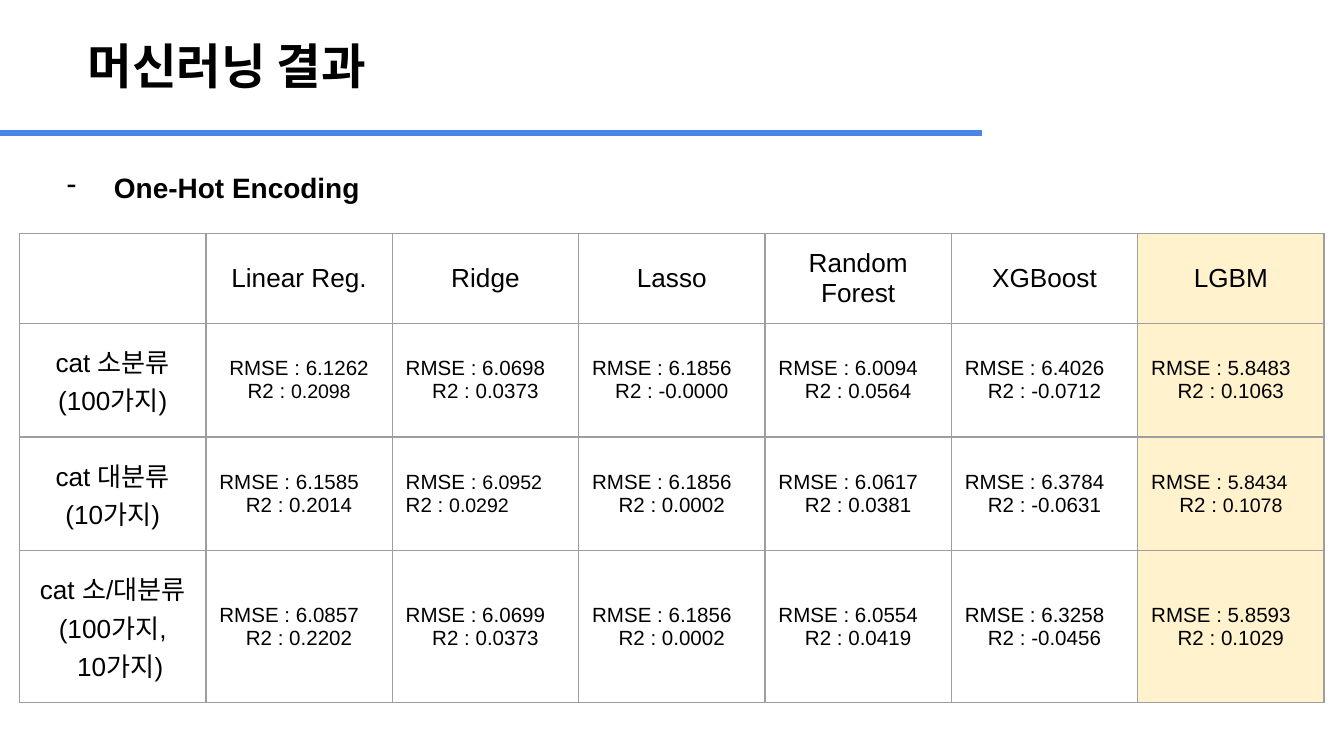
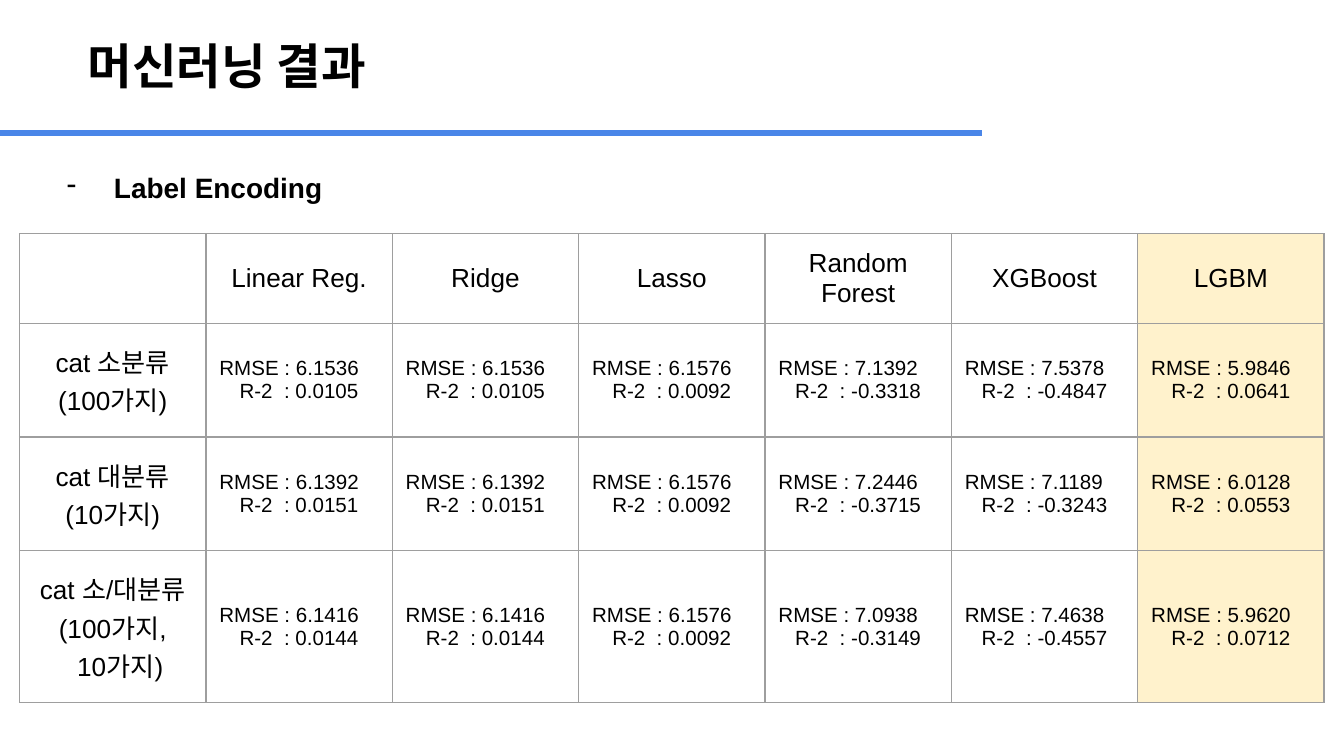
"""Build two slides of machine learning results, one per category encoding."""
from dataclasses import dataclass

from lxml import etree
from pptx import Presentation
from pptx import util as u
from pptx.dml.color import RGBColor
from pptx.enum import shapes, text
from pptx.oxml import ns

TITLE = "머신러닝 결과"
MODELS = ["Linear Reg.", "Ridge", "Lasso", "Random Forest", "XGBoost", "LGBM"]
CATEGORIES = [
    ("cat 소분류", "(100가지)"),
    ("cat 대분류", "(10가지)"),
    ("cat 소/대분류", "(100가지,", "10가지)"),
]


@dataclass(frozen=True)
class Score:
    """One model's error and fit, with the way its cell is set."""
    rmse: str
    r2: str
    small: str = ""
    layout: str = "split"


RESULTS = [
    ("One-Hot Encoding", "R2 : ", [
        [("6.1262", "0.2098", "r2", "joined"), ("6.0698", "0.0373"), ("6.1856", "-0.0000"),
         ("6.0094", "0.0564"), ("6.4026", "-0.0712"), ("5.8483", "0.1063")],
        [("6.1585", "0.2014"), ("6.0952", "0.0292", "rmse r2", "left"), ("6.1856", "0.0002"),
         ("6.0617", "0.0381"), ("6.3784", "-0.0631"), ("5.8434", "0.1078", "rmse r2")],
        [("6.0857", "0.2202"), ("6.0699", "0.0373"), ("6.1856", "0.0002"),
         ("6.0554", "0.0419"), ("6.3258", "-0.0456"), ("5.8593", "0.1029")],
    ]),
    ("Label Encoding", "R-2  : ", [
        [("6.1536", "0.0105"), ("6.1536", "0.0105"), ("6.1576", "0.0092"),
         ("7.1392", "-0.3318"), ("7.5378", "-0.4847"), ("5.9846", "0.0641")],
        [("6.1392", "0.0151"), ("6.1392", "0.0151"), ("6.1576", "0.0092"),
         ("7.2446", "-0.3715"), ("7.1189", "-0.3243"), ("6.0128", "0.0553")],
        [("6.1416", "0.0144"), ("6.1416", "0.0144"), ("6.1576", "0.0092"),
         ("7.0938", "-0.3149"), ("7.4638", "-0.4557"), ("5.9620", "0.0712")],
    ]),
]


@dataclass(frozen=True)
class Theme:
    """Colours, type sizes and insets shared by the slides."""
    font: str = "Arial"
    ink: str = "000000"
    rule: str = "4A86E8"
    grid: str = "9E9E9E"
    best: str = "FFF2CC"
    title: float = 26
    heading: float = 15
    label: float = 14
    score: float = 11
    small: float = 10.5
    inset: float = 7.2
    continuation: float = 8


THEME = Theme()
LEFT, CENTER = text.PP_ALIGN.LEFT, text.PP_ALIGN.CENTER
SLIDE_SIZE = (720, 405)
TITLE_BOX = (39.6, 12.2, 244, 46)
HEADING_BOX = (18, 84.2, 489.6, 32.4)
RULE_Y, RULE_END = 71.3, 526.3
TABLE_LEFT, TABLE_TOP, COLUMN_WIDTH = 10.5, 125.2, 99.84
ROW_HEIGHTS = (47.6, 60.9, 60.7, 57.6)


def points(values):
    """Turn numbers into lengths in points."""
    return [u.Pt(value) for value in values]


def set_insets(target):
    """Give a text frame or a cell the common margin on all sides."""
    for side in ("left", "top", "right", "bottom"):
        setattr(target, f"margin_{side}", u.Pt(THEME.inset))


def add_paragraph(frame, size, *pieces, align=LEFT, bold=False):
    """Write text, or (text, size) pieces, into the next paragraph of a frame."""
    paragraph = frame.add_paragraph() if frame.text else frame.paragraphs[0]
    paragraph.alignment = align
    font = paragraph.font
    font.name, font.size, font.bold = THEME.font, u.Pt(size), bold
    font.color.rgb = RGBColor.from_string(THEME.ink)
    for piece in pieces:
        words, piece_size = (piece, size) if isinstance(piece, str) else piece
        run = paragraph.add_run()
        run.text = words
        if piece_size != size:
            run.font.size = u.Pt(piece_size)
    return paragraph


def set_indent(paragraph, margin, indent=0):
    """Set the left margin and first-line indent of a paragraph."""
    properties = paragraph._p.get_or_add_pPr()
    properties.set("marL", str(u.Pt(margin)))
    properties.set("indent", str(u.Pt(indent)))
    return properties


def add_title(slide):
    """Place the slide title."""
    title = slide.shapes.title
    title.left, title.top, title.width, title.height = points(TITLE_BOX)
    frame = title.text_frame
    frame.word_wrap, frame.auto_size = True, text.MSO_AUTO_SIZE.SHAPE_TO_FIT_TEXT
    frame.vertical_anchor = text.MSO_ANCHOR.TOP
    set_insets(frame)
    add_paragraph(frame, THEME.title, TITLE, bold=True)


def add_rule(slide):
    """Draw the line under the title."""
    line = slide.shapes.add_connector(
        shapes.MSO_CONNECTOR.STRAIGHT, *points((0, RULE_Y, RULE_END, RULE_Y)))
    line.line.color.rgb = RGBColor.from_string(THEME.rule)
    line.line.width = u.Pt(3)
    etree.SubElement(line._element.spPr, ns.qn("a:effectLst"))


def add_heading(slide, heading):
    """Add the encoding name as a dashed list item."""
    frame = slide.shapes.add_textbox(*points(HEADING_BOX)).text_frame
    frame.word_wrap, frame.auto_size = True, text.MSO_AUTO_SIZE.SHAPE_TO_FIT_TEXT
    set_insets(frame)
    paragraph = add_paragraph(frame, THEME.heading, heading, bold=True)
    properties = set_indent(paragraph, 36, -25.2)
    color = etree.Element(ns.qn("a:buClr"))
    etree.SubElement(color, ns.qn("a:srgbClr"), val=THEME.ink)
    properties.insert(0, color)
    properties.insert(1, etree.Element(ns.qn("a:buChar"), char="-"))


def style_cell(cell, highlighted):
    """Set margins, borders and fill of a cell."""
    set_insets(cell)
    cell.vertical_anchor = text.MSO_ANCHOR.MIDDLE
    properties = cell._tc.get_or_add_tcPr()
    for edge in ("lnL", "lnR", "lnT", "lnB"):
        border = etree.SubElement(properties, ns.qn(f"a:{edge}"), w=str(u.Pt(0.75)))
        fill = etree.SubElement(border, ns.qn("a:solidFill"))
        etree.SubElement(fill, ns.qn("a:srgbClr"), val=THEME.grid)
    if highlighted:
        cell.fill.solid()
        cell.fill.fore_color.rgb = RGBColor.from_string(THEME.best)
    else:
        cell.fill.background()


def write_score(frame, score, r2_label):
    """Write the error and the fit of one model."""
    def value(name):
        return getattr(score, name), THEME.small if name in score.small.split() else THEME.score

    if score.layout == "joined":
        add_paragraph(frame, THEME.score, f"RMSE : {score.rmse} {r2_label}", value("r2"),
                      align=CENTER)
        return
    add_paragraph(frame, THEME.score, "RMSE : ", value("rmse"))
    add_paragraph(frame, THEME.score, r2_label, value("r2"),
                  align=LEFT if score.layout == "left" else CENTER)


def add_results(slide, r2_label, rows):
    """Add the table of scores by category and model."""
    column_count = len(MODELS) + 1
    table = slide.shapes.add_table(
        len(ROW_HEIGHTS), column_count,
        *points((TABLE_LEFT, TABLE_TOP, COLUMN_WIDTH * column_count, sum(ROW_HEIGHTS)))).table
    table.first_row = table.horz_banding = False
    for column in table.columns:
        column.width = u.Pt(COLUMN_WIDTH)
    for row, height in zip(table.rows, ROW_HEIGHTS):
        row.height = u.Pt(height)
        for index, cell in enumerate(row.cells):
            style_cell(cell, highlighted=index == len(MODELS))
    for column, model in enumerate(MODELS, 1):
        add_paragraph(table.cell(0, column).text_frame, THEME.label, model, align=CENTER)
    for row, (lines, scores) in enumerate(zip(CATEGORIES, rows), 1):
        for index, line in enumerate(lines):
            paragraph = add_paragraph(table.cell(row, 0).text_frame, THEME.label, line,
                                      align=CENTER)
            if index == 2:
                set_indent(paragraph, THEME.continuation)
        for column, score in enumerate(scores, 1):
            write_score(table.cell(row, column).text_frame, Score(*score), r2_label)


def main():
    """Build and save the presentation."""
    presentation = Presentation()
    presentation.slide_width, presentation.slide_height = points(SLIDE_SIZE)
    for heading, r2_label, rows in RESULTS:
        slide = presentation.slides.add_slide(presentation.slide_layouts[5])
        add_results(slide, r2_label, rows)
        add_rule(slide)
        add_heading(slide, heading)
        add_title(slide)
    presentation.save("out.pptx")


if __name__ == "__main__":
    main()
